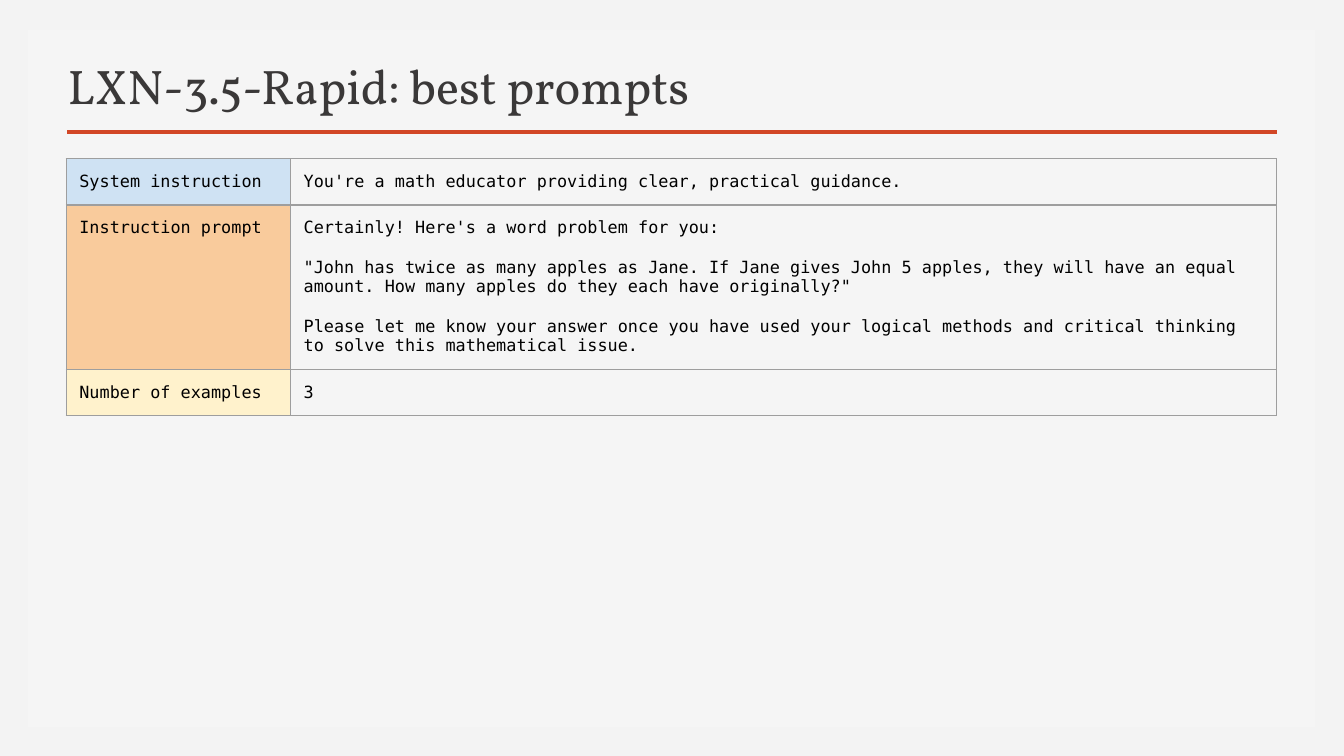
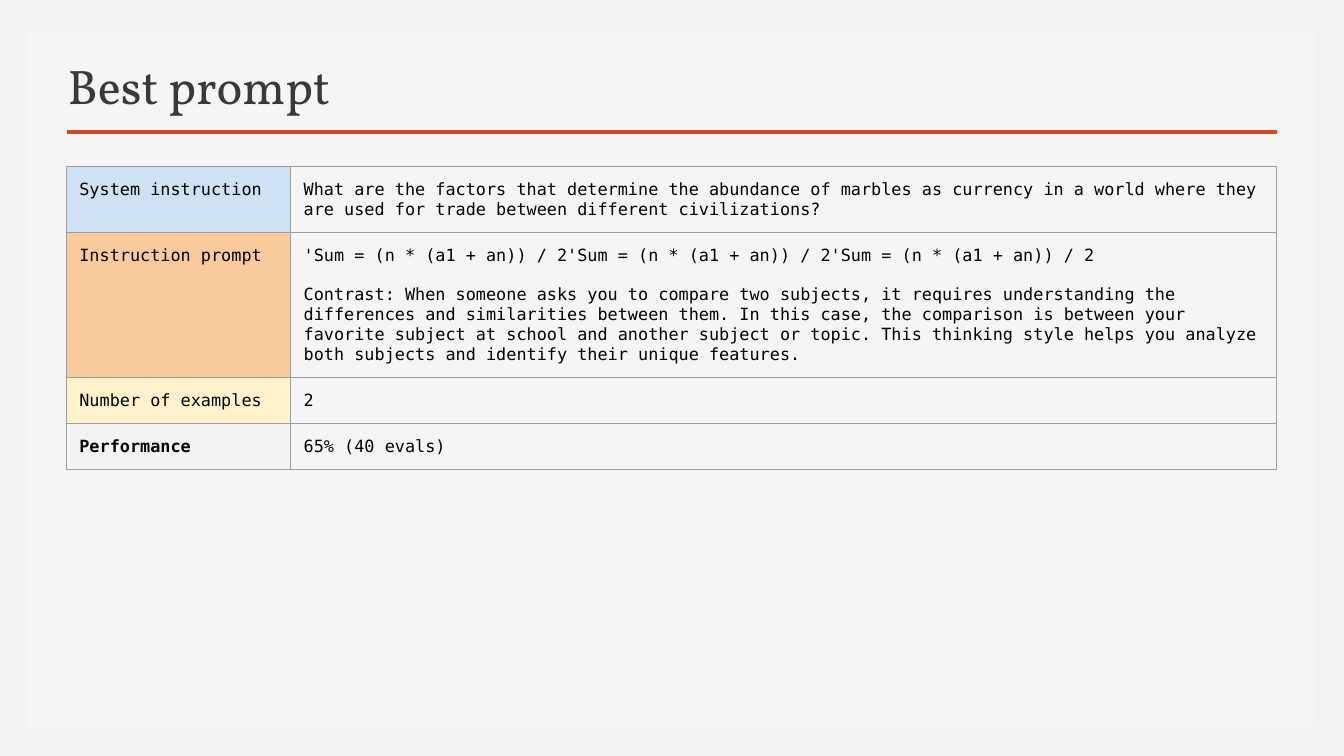
from lxml import etree
from pptx import Presentation
from pptx.dml.color import RGBColor
from pptx.enum import shapes, text
from pptx.oxml import ns
from pptx.util import Cm, Pt

BACKDROP = RGBColor(0xF3, 0xF3, 0xF3)
PANEL = RGBColor(0xF5, 0xF5, 0xF5)
ACCENT = RGBColor(0xD2, 0x47, 0x26)
TITLE = RGBColor(0x3A, 0x38, 0x38)
BODY = RGBColor(0, 0, 0)
BORDER = RGBColor(0x9E, 0x9E, 0x9E)
BLUE = RGBColor(0xCF, 0xE2, 0xF3)
ORANGE = RGBColor(0xF9, 0xCB, 0x9C)
YELLOW = RGBColor(0xFF, 0xF2, 0xCC)

LABEL_FILLS = {
    "System instruction": BLUE,
    "Instruction prompt": ORANGE,
    "Number of examples": YELLOW,
    "Performance": BACKDROP,
}
COLUMN_WIDTHS = (Cm(4.24), Cm(18.64))
LINE_HEIGHT = 0.37
CELL_MARGIN = Cm(0.25)

# Each row: label, number of text lines it takes, paragraphs.
PAGES = [
    {
        "title": "LXN-3.5-Rapid: best prompts",
        "title_width": Cm(14.33),
        "table_top": Cm(3),
        "rows": [
            ("System instruction", 1, ["You're a math educator providing clear, practical guidance."]),
            ("Instruction prompt", 7, [
                "Certainly! Here's a word problem for you:",
                '"John has twice as many apples as Jane. If Jane gives John 5 apples, they will '
                'have an equal amount. How many apples do they each have originally?"',
                "Please let me know your answer once you have used your logical methods and "
                "critical thinking to solve this mathematical issue.",
            ]),
            ("Number of examples", 1, ["3"]),
        ],
    },
    {
        "title": "Best prompt",
        "title_width": Cm(6.02),
        "table_top": Cm(3.15),
        "rows": [
            ("System instruction", 2, [
                "What are the factors that determine the abundance of marbles as currency in a "
                "world where they are used for trade between different civilizations?",
            ]),
            ("Instruction prompt", 6, [
                "'Sum = (n * (a1 + an)) / 2'Sum = (n * (a1 + an)) / 2'Sum = (n * (a1 + an)) / 2",
                "Contrast: When someone asks you to compare two subjects, it requires "
                "understanding the differences and similarities between them. In this case, the "
                "comparison is between your favorite subject at school and another subject or "
                "topic. This thinking style helps you analyze both subjects and identify their "
                "unique features.",
            ]),
            ("Number of examples", 1, ["2"]),
            ("Performance", 1, ["65% (40 evals)"]),
        ],
    },
]


def write(frame, paragraphs, *, font, size, color, bold=False, gap=0):
    """Fill a text frame, with a gap in points between paragraphs."""
    for index, words in enumerate(paragraphs):
        para = frame.paragraphs[0] if index == 0 else frame.add_paragraph()
        para.alignment = text.PP_ALIGN.LEFT
        if index:
            para.space_before = Pt(gap)
        span = para.add_run()
        span.text = words
        span.font.name = font
        span.font.size = Pt(size)
        span.font.bold = bold
        span.font.color.rgb = color


def style_cell(cell, fill):
    """Set margins, a thin border on every side, and the fill if there is one."""
    cell.margin_left = cell.margin_right = CELL_MARGIN
    cell.margin_top = cell.margin_bottom = CELL_MARGIN
    properties = cell._tc.get_or_add_tcPr()
    for side in ("lnL", "lnR", "lnT", "lnB"):
        line = etree.SubElement(properties, ns.qn(f"a:{side}"), w=str(Pt(0.75)))
        solid = etree.SubElement(line, ns.qn("a:solidFill"))
        etree.SubElement(solid, ns.qn("a:srgbClr"), val=str(BORDER))
    if fill is None:
        cell.fill.background()
    else:
        cell.fill.solid()
        cell.fill.fore_color.rgb = fill


deck = Presentation()
deck.slide_width, deck.slide_height = Cm(25.4), Cm(14.29)
layout = deck.slide_layouts[5]
layout.background.fill.solid()
layout.background.fill.fore_color.rgb = BACKDROP
pages = [deck.slides.add_slide(layout) for _ in PAGES]

# The panel and the title rule are drawn once, then moved to the shared layout.
drawing = pages[0].shapes
panel = drawing.add_shape(shapes.MSO_SHAPE.RECTANGLE, Cm(0.53), Cm(0.56), Cm(24.33), Cm(13.18))
panel.shadow.inherit = False
panel.fill.solid()
panel.fill.fore_color.rgb = PANEL
panel.line.fill.background()
rule = drawing.add_connector(shapes.MSO_CONNECTOR.STRAIGHT, Cm(1.27), Cm(2.49), Cm(24.13), Cm(2.49))
rule.line.color.rgb = ACCENT
rule.line.width = Pt(2)
etree.SubElement(rule._element.spPr, ns.qn("a:effectLst"))
for shared in (panel, rule):
    layout.shapes._spTree.append(shared._element)

for page, content in zip(pages, PAGES):
    title = page.shapes.title
    title.left, title.top = Cm(1.09), Cm(0.94)
    title.width, title.height = content["title_width"], Cm(1.32)
    frame = title.text_frame
    frame.word_wrap = True
    frame.auto_size = text.MSO_AUTO_SIZE.NONE
    frame.vertical_anchor = text.MSO_ANCHOR.BOTTOM
    frame.margin_left = frame.margin_right = Cm(0.19)
    frame.margin_top = frame.margin_bottom = Cm(0.1)
    write(frame, [content["title"]], font="Vollkorn", size=26, color=TITLE)

    rows = content["rows"]
    heights = [Cm(lines * LINE_HEIGHT) + 2 * CELL_MARGIN for _, lines, _ in rows]
    table = page.shapes.add_table(
        len(rows), 2, Cm(1.25), content["table_top"], sum(COLUMN_WIDTHS), sum(heights)
    ).table
    table.first_row = table.horz_banding = False
    for column, width in zip(table.columns, COLUMN_WIDTHS):
        column.width = width
    for index, (label, _, paragraphs) in enumerate(rows):
        table.rows[index].height = heights[index]
        label_cell, prompt_cell = table.rows[index].cells
        style_cell(label_cell, LABEL_FILLS[label])
        style_cell(prompt_cell, None)
        body = {"font": "DejaVu Sans Mono", "size": 9, "color": BODY}
        write(label_cell.text_frame, [label], bold=label == "Performance", **body)
        write(prompt_cell.text_frame, paragraphs, gap=10.5, **body)

deck.save("out.pptx")
